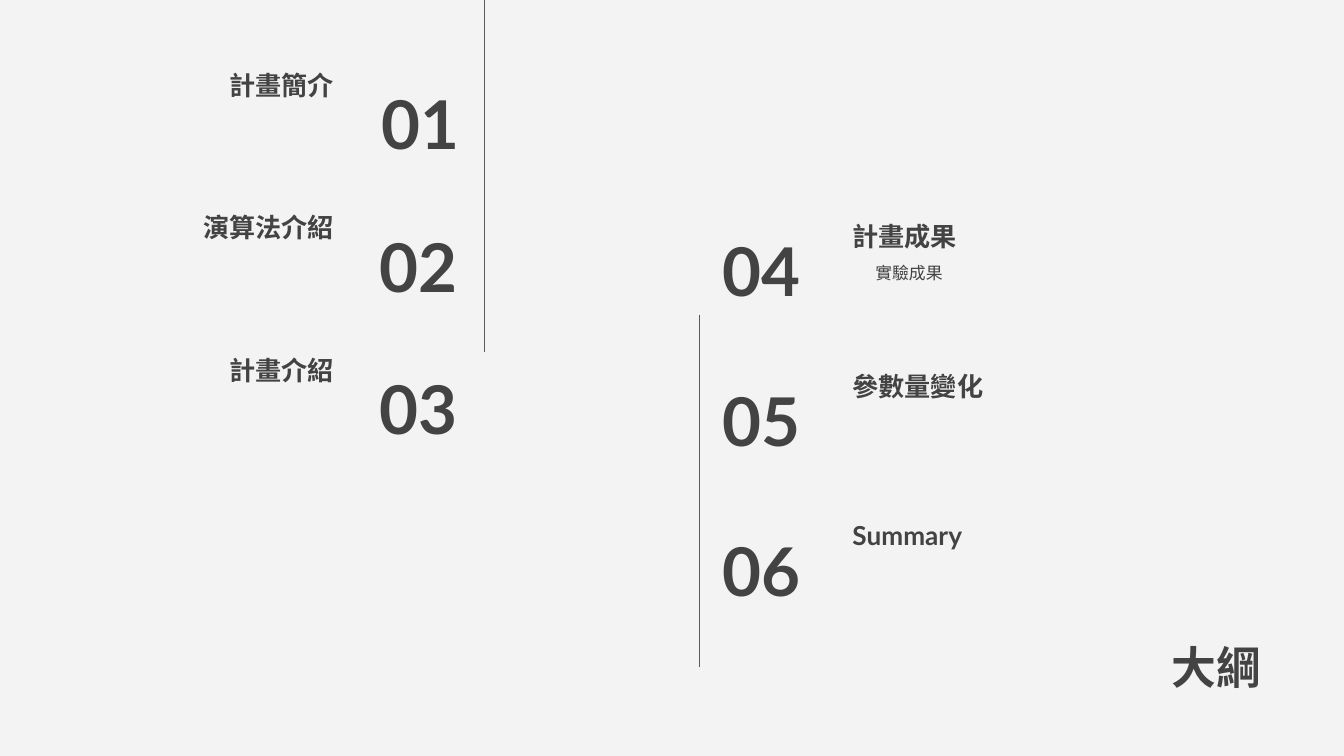
from lxml import etree
from pptx import Presentation
from pptx.dml.color import RGBColor
from pptx.enum.shapes import MSO_CONNECTOR
from pptx.enum.text import MSO_ANCHOR, PP_ALIGN
from pptx.oxml.ns import qn
from pptx.util import Inches, Pt

LEFT, MID, RIGHT = PP_ALIGN.LEFT, PP_ALIGN.CENTER, PP_ALIGN.RIGHT
TOP, CORE, BASE = MSO_ANCHOR.TOP, MSO_ANCHOR.MIDDLE, MSO_ANCHOR.BOTTOM
STRAIGHT = MSO_CONNECTOR.STRAIGHT

COLORS = {"paper": "F3F3F3", "ink": "434343", "rule": "595959"}
HEAD, BODY = "Lato", "Roboto Condensed"
WIDE = Inches(10)
HIGH = WIDE * 9 // 16
CELL = WIDE / 100
ROW = 6.3


def grid(*spans):
    return [round(span * CELL) for span in spans]


def tint(name):
    return RGBColor.from_string(COLORS[name])


def write(slide, box, text, size, align, anchor, face=HEAD, bold=True):
    frame = slide.shapes.add_textbox(*grid(*box)).text_frame
    frame.word_wrap = True
    frame.vertical_anchor = anchor
    frame.margin_left = frame.margin_right = Inches(0.1)
    frame.margin_top = frame.margin_bottom = Inches(0.1)
    para = frame.paragraphs[0]
    para.alignment = align
    run = para.add_run()
    run.text = text
    font = run.font
    font.name, font.size, font.bold = face, Pt(size), bold
    font.color.rgb = tint("ink")
    east = etree.SubElement(run._r.get_or_add_rPr(), qn("a:ea"))
    east.set("typeface", face)
    return para


def draw_rule(slide, x, y, length):
    line = slide.shapes.add_connector(STRAIGHT, *grid(x, y, x, y + length))
    line.line.color.rgb = tint("rule")
    line.line.width = Pt(0.75)
    etree.SubElement(line._element.spPr, qn("a:effectLst"))


def add_left(slide, box, items):
    x, y, width, height = box
    pitch = height / len(items)
    for i, (mark, label, shift) in enumerate(items):
        top = y + i * pitch
        write(slide, (x, top, 21.6, ROW), label, 14, RIGHT, BASE)
        write(slide, (x + width - 12.1 + shift, top + 3.8, 12.1, ROW),
              mark, 36, RIGHT, CORE)
    draw_rule(slide, x + width + 1, 0, 26.2)


def add_right(slide, box, items):
    x, y, width, height = box
    pitch = height / len(items)
    for i, (mark, label, note) in enumerate(items):
        top = y + i * pitch
        side = x + width - 21.6
        write(slide, (x, top + 3.5, 11.7, ROW), mark, 36, LEFT, CORE)
        write(slide, (side, top, 21.6, ROW), label, 14, LEFT, BASE)
        if note:
            para = write(slide, (side, top + 5, 18.3, ROW),
                         note, 9, LEFT, TOP, BODY, False)
            para.line_spacing = 1.15
            props = para._p.get_or_add_pPr()
            props.set("marL", str(Inches(0.5)))
            props.set("indent", str(Inches(-0.33)))
    draw_rule(slide, x - 0.7, y + 10, 26.2)


def add_title(slide, box, text):
    write(slide, box, text, 24, MID, CORE)


def main():
    deck = Presentation()
    deck.slide_width, deck.slide_height = WIDE, HIGH
    slide = deck.slides.add_slide(deck.slide_layouts[6])
    fill = slide.background.fill
    fill.solid()
    fill.fore_color.rgb = tint("paper")
    add_left(slide, (4.25, 2.2, 30.8, 31.8), [
        ("01", "計畫簡介", 0.15),
        ("02", "演算法介紹", 0),
        ("03", "計畫介紹", 0),
    ])
    add_right(slide, (52.75, 13.42, 31.3, 33.45), [
        ("04", "計畫成果", "實驗成果"),
        ("05", "參數量變化", None),
        ("06", "Summary", None),
    ])
    add_title(slide, (77.55, 44.45, 25.9, 10.3), "大綱")
    deck.save("out.pptx")


if __name__ == "__main__":
    main()
